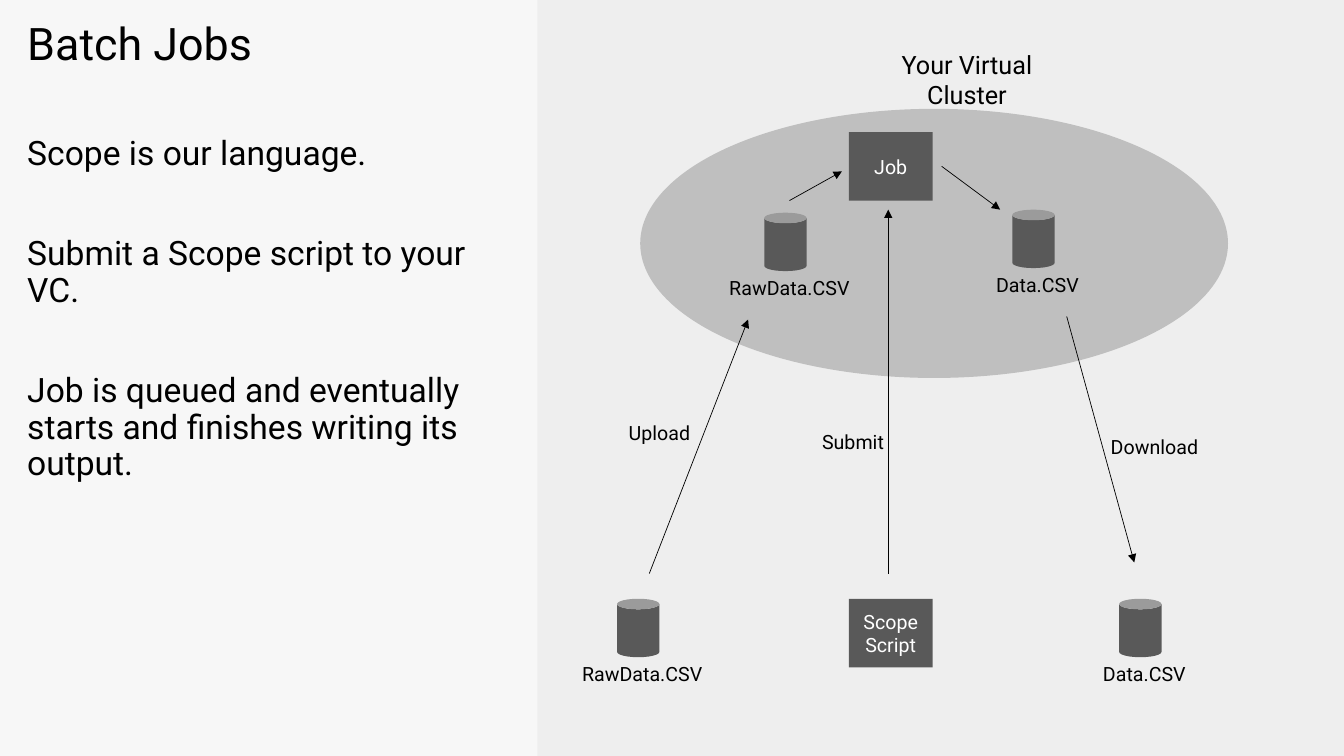
from lxml import etree
from pptx import Presentation
from pptx.dml.color import RGBColor
from pptx.enum.shapes import MSO_CONNECTOR, MSO_SHAPE
from pptx.enum.text import MSO_ANCHOR, MSO_AUTO_SIZE, PP_ALIGN
from pptx.oxml.ns import qn
from pptx.util import Inches, Pt

RECTANGLE, OVAL, CAN = MSO_SHAPE.RECTANGLE, MSO_SHAPE.OVAL, MSO_SHAPE.CAN
STRAIGHT = MSO_CONNECTOR.STRAIGHT
LEFT, CENTER = PP_ALIGN.LEFT, PP_ALIGN.CENTER
TOP, MIDDLE = MSO_ANCHOR.TOP, MSO_ANCHOR.MIDDLE
NO_AUTOFIT = MSO_AUTO_SIZE.NONE

FONT = "Roboto"
COLORS = {
    "background": "F7F7F7",
    "panel": "EEEEEE",
    "cluster": "BFBFBF",
    "node": "595959",
    "ink": "000000",
    "node_text": "FFFFFF",
}
STEPS = [
    "Scope is our language.",
    "Submit a Scope script to your VC.",
    "Job is queued and eventually starts and finishes writing its output.",
]
CAN_SIZE = (0.42, 0.58)
NODE_SIZE = (0.83, 0.68)
LABEL_SIZE = (1.42, 0.42)


def color(name):
    return RGBColor.from_string(COLORS[name])


def write(shape, *paragraphs, size=14, ink="ink", align=CENTER, anchor=MIDDLE,
          line_spacing=None, gap=0):
    """Fill a shape with unbulleted paragraphs, gap points apart."""
    frame = shape.text_frame
    frame.word_wrap = True
    frame.auto_size = NO_AUTOFIT
    frame.vertical_anchor = anchor
    for index, text in enumerate(paragraphs):
        paragraph = frame.add_paragraph() if index else frame.paragraphs[0]
        paragraph.text = text
        paragraph.alignment = align
        paragraph.space_before = Pt(gap if index else 0)
        if line_spacing:
            paragraph.line_spacing = line_spacing
        properties = paragraph._p.get_or_add_pPr()
        properties.set("marL", "0")
        properties.set("indent", "0")
        etree.SubElement(properties, qn("a:buNone"))
        paragraph.font.name = FONT
        paragraph.font.size = Pt(size)
        paragraph.font.color.rgb = color(ink)


def place(shape, left, top, width, height):
    shape.left, shape.top = Inches(left), Inches(top)
    shape.width, shape.height = Inches(width), Inches(height)


def add_block(slide, kind, left, top, width, height, fill):
    block = slide.shapes.add_shape(
        kind, Inches(left), Inches(top), Inches(width), Inches(height))
    block.shadow.inherit = False
    block.fill.solid()
    block.fill.fore_color.rgb = color(fill)
    block.line.fill.background()
    return block


def add_label(slide, text, left, top, width=LABEL_SIZE[0], height=LABEL_SIZE[1],
              size=14):
    label = slide.shapes.add_textbox(
        Inches(left), Inches(top), Inches(width), Inches(height))
    write(label, text, size=size)


def add_file(slide, name, left, top):
    """A data file: a cylinder with its name below."""
    add_block(slide, CAN, left, top, *CAN_SIZE, "node")
    add_label(slide, name, left - 0.46, top + 0.53)


def add_node(slide, text, left, top):
    node = add_block(slide, RECTANGLE, left, top, *NODE_SIZE, "node")
    write(node, text, ink="node_text")


def add_arrow(slide, start_x, start_y, end_x, end_y):
    arrow = slide.shapes.add_connector(
        STRAIGHT, Inches(start_x), Inches(start_y), Inches(end_x), Inches(end_y))
    arrow.line.color.rgb = color("ink")
    arrow.line.width = Pt(0.5)
    etree.SubElement(arrow.line._get_or_add_ln(), qn("a:tailEnd"), type="triangle")
    etree.SubElement(arrow._element.spPr, qn("a:effectLst"))


def add_explanation(slide, left, top, width, height):
    title, steps = slide.shapes.title, slide.placeholders[1]
    steps_offset = 1.13
    place(title, left, top, width, 0.7)
    write(title, "Batch Jobs", size=32, align=LEFT, anchor=TOP, line_spacing=0.9)
    place(steps, left, top + steps_offset, width, height - steps_offset)
    write(steps, *STEPS, size=24, align=LEFT, anchor=TOP, line_spacing=0.9, gap=46)


def add_diagram(slide, left, top, width, height):
    add_block(slide, RECTANGLE, left, top, width, height, "panel")

    # Virtual cluster
    add_block(slide, OVAL, left + 1.02, top + 1.08, 5.83, 2.67, "cluster")
    add_label(slide, "Your Virtual Cluster", left + 3.09, top + 0.58, 2.34, size=18)

    # Files inside the cluster, then outside
    for name, x, y in [
        ("RawData.CSV", 2.25, 2.11),
        ("Data.CSV", 4.71, 2.08),
        ("RawData.CSV", 0.79, 5.94),
        ("Data.CSV", 5.77, 5.94),
    ]:
        add_file(slide, name, left + x, top + y)

    # Job and the script that starts it
    for text, y in [("Job", 1.31), ("Scope Script", 5.94)]:
        add_node(slide, text, left + 3.09, top + y)

    # Flow: upload, submit, download, into job, out of job
    for start_x, start_y, end_x, end_y in [
        (1.11, 5.69, 2.09, 3.17),
        (3.48, 5.69, 3.48, 2.08),
        (5.25, 3.14, 5.92, 5.58),
        (2.5, 1.99, 3.02, 1.7),
        (4.01, 1.65, 4.59, 2.08),
    ]:
        add_arrow(slide, left + start_x, top + start_y, left + end_x, top + end_y)

    # Names of the flows
    for text, x, y in [
        ("Upload", 0.5, 4.08),
        ("Submit", 2.42, 4.17),
        ("Download", 5.41, 4.22),
    ]:
        add_label(slide, text, left + x, top + y)


def main():
    deck = Presentation()
    deck.slide_width, deck.slide_height = Inches(13.33), Inches(7.5)
    slide = deck.slides.add_slide(deck.slide_layouts[1])
    slide.background.fill.solid()
    slide.background.fill.fore_color.rgb = color("background")
    add_diagram(slide, 5.33, 0, 8, 7.5)
    add_explanation(slide, 0.17, 0.17, 4.92, 7.17)
    deck.save("out.pptx")


if __name__ == "__main__":
    main()
